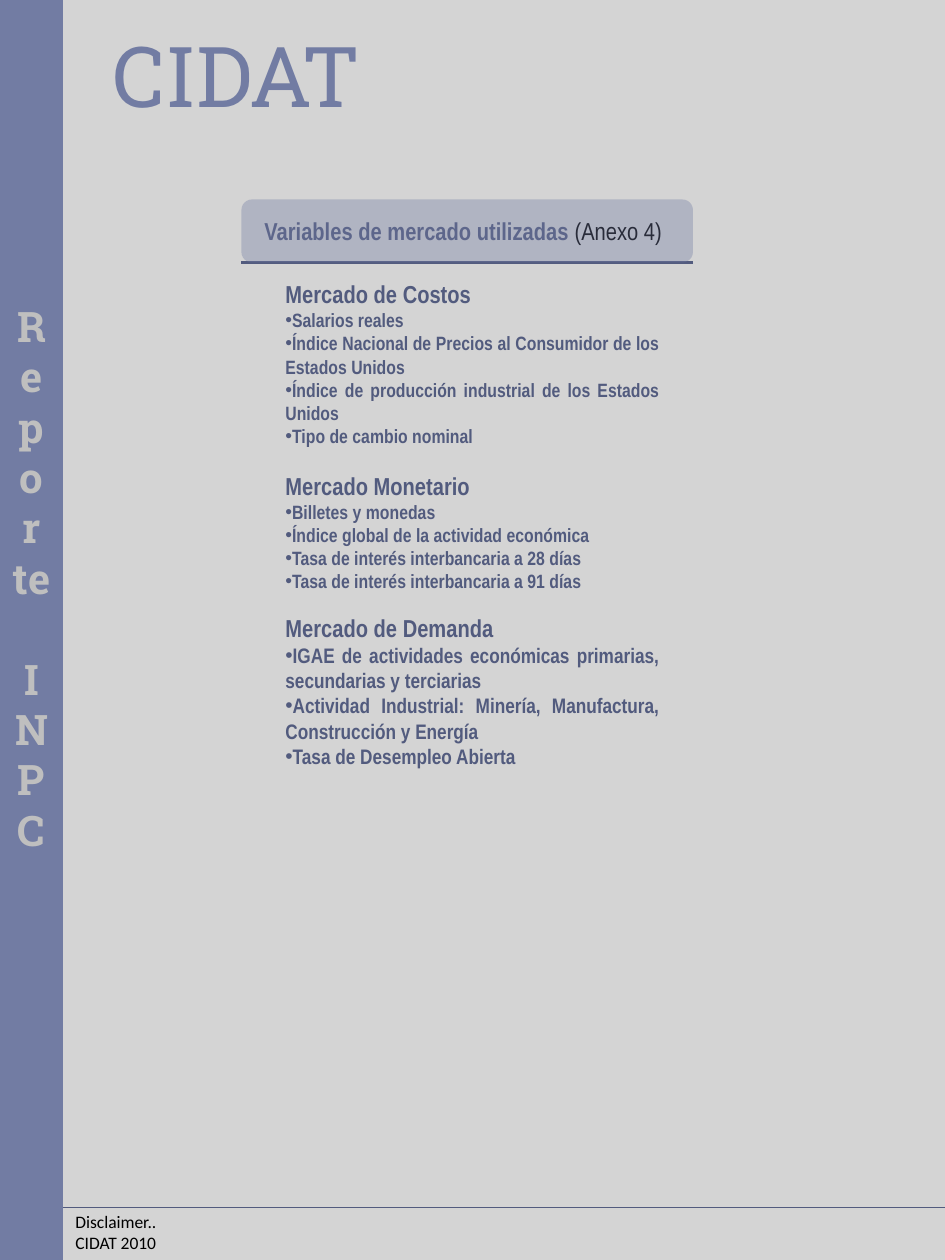
from dataclasses import dataclass
from lxml.etree import SubElement
from pptx import Presentation
from pptx.dml.color import RGBColor
from pptx.enum.shapes import MSO_CONNECTOR as Connector, MSO_SHAPE as Preset
from pptx.enum.text import MSO_ANCHOR as Anchor, PP_ALIGN as Align
from pptx.oxml.ns import qn
from pptx.util import Inches, Pt


@dataclass(frozen=True)
class Theme:
    background: str = "D4D4D4"
    accent: str = "727CA3"
    ink: str = "525B7E"
    pale: str = "BFBFBF"
    black: str = "000000"
    display: str = "Roboto Slab"
    body: str = "Arial Narrow"
    plain: str = "Calibri"
    title: int = 48
    side: int = 24
    heading: int = 14
    large_item: int = 12
    item: int = 11
    note: int = 10


class Report:
    columns, rows = 90, 120

    def __init__(self, presentation, theme):
        self.theme = theme
        self.column = presentation.slide_width / self.columns
        self.row = presentation.slide_height / self.rows
        self.slide = presentation.slides.add_slide(presentation.slide_layouts[6])
        fill = self.slide.background.fill
        fill.solid()
        fill.fore_color.rgb = RGBColor.from_string(theme.background)

    def place(self, left, top, width, height):
        return (round(left * self.column), round(top * self.row),
                round(width * self.column), round(height * self.row))

    def panel(self, preset, box, color, opacity=100):
        shape = self.slide.shapes.add_shape(preset, *self.place(*box))
        shape.shadow.inherit = False
        shape.fill.solid()
        shape.fill.fore_color.rgb = RGBColor.from_string(color)
        shape.line.fill.background()
        if opacity < 100:
            tint = shape.fill._xPr.find(qn("a:solidFill"))[0]
            SubElement(tint, qn("a:alpha"), val=str(opacity * 1000))

    def rule(self, left, right, row, weight):
        start_x, y, end_x, _ = self.place(left, row, right, row)
        line = self.slide.shapes.add_connector(Connector.STRAIGHT, start_x, y, end_x, y)
        line.line.color.rgb = RGBColor.from_string(self.theme.ink)
        line.line.width = Pt(weight)
        SubElement(line._element.spPr, qn("a:effectLst"))

    def text(self, box, paragraphs, align=Align.LEFT, anchor=Anchor.TOP):
        frame = self.slide.shapes.add_textbox(*self.place(*box)).text_frame
        frame.word_wrap = True
        frame.vertical_anchor = anchor
        for index, (runs, layout) in enumerate(paragraphs):
            paragraph = frame.paragraphs[0] if index == 0 else frame.add_paragraph()
            paragraph.alignment = align
            paragraph.space_before = Pt(layout.get("gap", 0))
            if layout.get("bullet"):
                properties = paragraph._p.get_or_add_pPr()
                SubElement(properties, qn("a:buFont"), typeface="Arial")
                SubElement(properties, qn("a:buChar"), char="•")
            for content, font, size, color, bold in runs:
                run = paragraph.add_run()
                run.text = content
                values = {"name": font, "size": Pt(size), "bold": bold}
                for name, value in values.items():
                    setattr(run.font, name, value)
                run.font.color.rgb = RGBColor.from_string(color)

    def markets(self, box, groups, size):
        theme = self.theme
        paragraphs = []
        for heading, items in groups:
            gap = 13.3 if paragraphs else 0
            paragraphs.append(([(heading, theme.body, theme.heading, theme.ink, True)], {"gap": gap}))
            paragraphs += [([(item, theme.body, size, theme.ink, True)], {"bullet": True})
                           for item in items]
        self.text(box, paragraphs, Align.JUSTIFY)


presentation = Presentation()
presentation.slide_width, presentation.slide_height = Inches(7.5), Inches(10)
theme = Theme()
report = Report(presentation, theme)
institute = "CIDAT"

report.text((0, 0, 45, 14), [([(institute, theme.display, theme.title, theme.accent, False)], {})],
            Align.CENTER, Anchor.MIDDLE)
report.panel(Preset.RECTANGLE, (0, 0, 6, 120), theme.accent)
report.text((0, 28, 6, 59.4),
            [([(word, theme.display, theme.side, theme.pale, True)], {"gap": gap})
             for word, gap in (("Repor", 0), ("te", 0), ("INPC", 28.8))], Align.CENTER)
report.rule(6, 90, 115, 0.75)
report.text((6, 114.75, 82, 5.25),
            [([(line, theme.plain, theme.note, theme.black, False)], {})
             for line in ("Disclaimer..", f"{institute} 2010")])

report.text((24, 20, 43, 4),
            [([("Variables de mercado utilizadas ", theme.body, theme.heading, theme.ink, True),
               ("(Anexo 4)", theme.body, theme.heading, theme.black, False)], {})])
report.rule(66, 23, 25, 1.25)
report.markets((26, 26, 38, 33.5), [
    ("Mercado de Costos", [
        "Salarios reales",
        "Índice Nacional de Precios al Consumidor de los Estados Unidos",
        "Índice de producción industrial de los Estados Unidos",
        "Tipo de cambio nominal"]),
    ("Mercado Monetario", [
        "Billetes y monedas",
        "Índice global de la actividad económica",
        "Tasa de interés interbancaria a 28 días",
        "Tasa de interés interbancaria a 91 días"]),
], theme.item)
report.markets((26, 57.8, 38, 16.2), [
    ("Mercado de Demanda", [
        "IGAE de actividades económicas primarias, secundarias y terciarias",
        "Actividad Industrial: Minería, Manufactura, Construcción y Energía",
        "Tasa de Desempleo Abierta"]),
], theme.large_item)
report.panel(Preset.ROUNDED_RECTANGLE, (23, 19, 43, 6), theme.accent, 36)

presentation.save("out.pptx")
